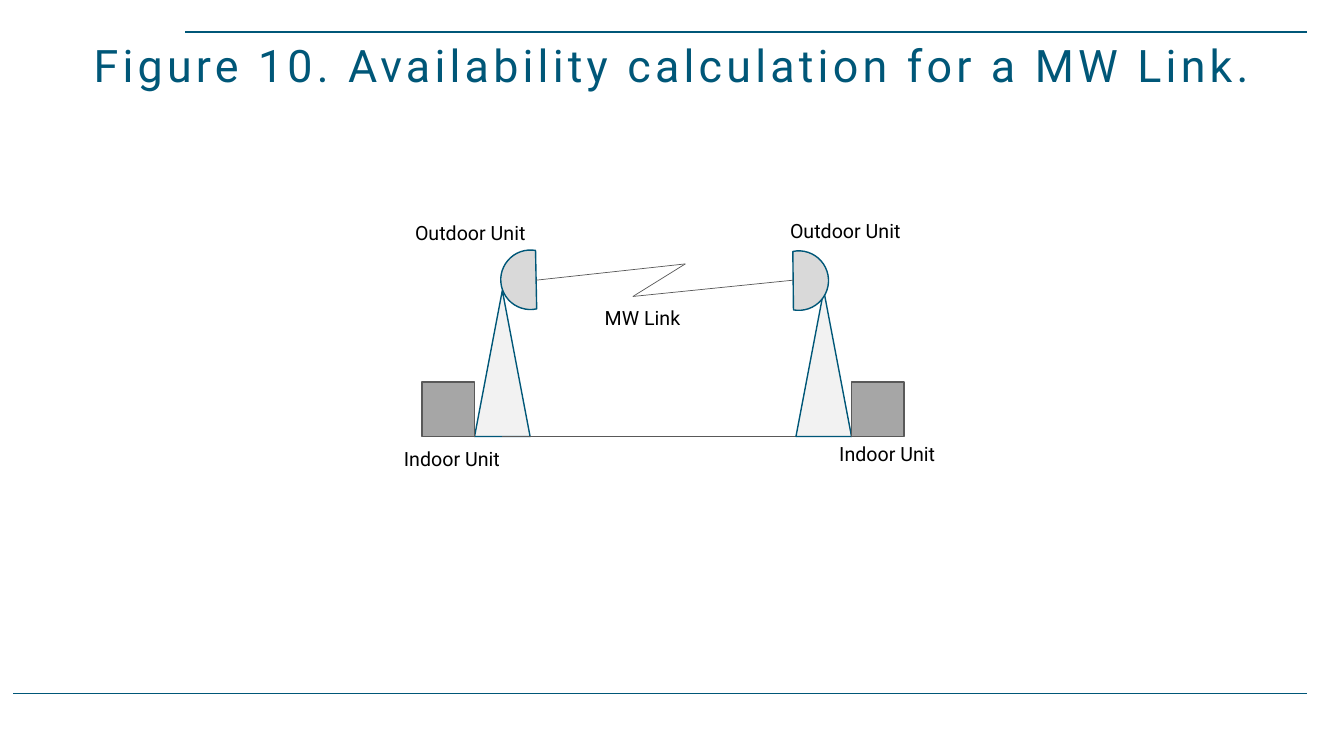
from lxml.etree import SubElement
from pptx import Presentation
from pptx.dml.color import RGBColor
from pptx.enum.shapes import MSO_CONNECTOR, MSO_SHAPE
from pptx.enum.text import MSO_ANCHOR, MSO_AUTO_SIZE, PP_ALIGN
from pptx.oxml.ns import qn
from pptx.util import Cm, Pt

FONT = "Roboto"
TEAL, GREY, BLACK = "005778", "595959", "000000"
TOWER_FILL, DISH_FILL, CABINET_FILL = "F2F2F2", "D9D9D9", "A6A6A6"


def color(hex_string):
    return RGBColor.from_string(hex_string)


def add_line(slide, start, end, line_color, weight):
    connector = slide.shapes.add_connector(
        MSO_CONNECTOR.STRAIGHT, *(Cm(value) for value in (*start, *end)))
    connector.line.color.rgb = color(line_color)
    connector.line.width = Pt(weight)
    SubElement(connector._element.spPr, qn("a:effectLst"))


def add_part(slide, kind, box, fill, line_color):
    shape = slide.shapes.add_shape(kind, *(Cm(value) for value in box))
    shape.shadow.inherit = False
    shape.fill.solid()
    shape.fill.fore_color.rgb = color(fill)
    shape.line.color.rgb = color(line_color)
    shape.line.width = Pt(1)
    return shape


def format_run(run, size, text_color):
    run.font.name = FONT
    run.font.size = Pt(size)
    run.font.color.rgb = color(text_color)


def add_label(slide, text, left, top, width):
    shape = slide.shapes.add_textbox(Cm(left), Cm(top), Cm(width), Cm(0.86))
    frame = shape.text_frame
    frame.word_wrap = False
    frame.auto_size = MSO_AUTO_SIZE.SHAPE_TO_FIT_TEXT
    run = frame.paragraphs[0].add_run()
    run.text = text
    format_run(run, 14, BLACK)


def add_title(slide, text, left, top, width, height):
    title = slide.shapes.title
    title.left, title.top, title.width, title.height = (
        Cm(value) for value in (left, top, width, height))
    frame = title.text_frame
    frame.word_wrap = True
    frame.auto_size = MSO_AUTO_SIZE.NONE
    frame.vertical_anchor = MSO_ANCHOR.BOTTOM
    paragraph = frame.paragraphs[0]
    paragraph.alignment = PP_ALIGN.CENTER
    paragraph.line_spacing = 0.8
    run = paragraph.add_run()
    run.text = text
    format_run(run, 32, TEAL)
    run.font._element.set("spc", "300")


def add_station(slide, left, top, width, height, mirrored, dish, outdoor, indoor):
    """Dish and label positions are offsets from the station's top left corner."""
    bottom = top + height
    tower_width, tower_height = 1.4, 3.68
    cabinet_width, cabinet_height = 1.32, 1.37
    tower_left = left if mirrored else left + width - tower_width
    cabinet_left = left + width - cabinet_width if mirrored else left

    # Tower, dish and cabinet
    add_part(slide, MSO_SHAPE.ISOSCELES_TRIANGLE,
             (tower_left, bottom - tower_height, tower_width, tower_height),
             TOWER_FILL, TEAL)
    antenna = add_part(slide, MSO_SHAPE.CHORD,
                       (left + dish[0], top + dish[1], 1.5, 1.5), DISH_FILL, TEAL)
    antenna.adjustments[0] = 27
    antenna.adjustments[1] = 148.04
    antenna.rotation = 213.5 if mirrored else 33
    add_part(slide, MSO_SHAPE.RECTANGLE,
             (cabinet_left, bottom - cabinet_height, cabinet_width, cabinet_height),
             CABINET_FILL, GREY)

    # Unit labels
    add_label(slide, "Outdoor Unit", left + outdoor[0], top + outdoor[1], 3.43)
    add_label(slide, "Indoor Unit", left + indoor[0], top + indoor[1], 3.02)


def add_radio_link(slide, left, top, width, height):
    middle = top + height / 2
    bottom = top + height
    upper_bend = (left + 3.76, top)
    lower_bend = (left + 2.44, bottom)
    add_line(slide, (left, middle), upper_bend, GREY, 0.5)
    add_line(slide, lower_bend, (left + width, middle), GREY, 0.5)
    add_line(slide, lower_bend, upper_bend, GREY, 0.5)
    add_label(slide, "MW Link", left + 1.48, bottom + 0.12, 2.46)


def main():
    presentation = Presentation()
    presentation.slide_width = Cm(33.87)
    presentation.slide_height = Cm(19.05)
    slide = presentation.slides.add_slide(presentation.slide_layouts[5])

    # Frame rules and title
    add_line(slide, (4.67, 0.81), (32.94, 0.81), TEAL, 1)
    add_line(slide, (0.33, 17.48), (32.94, 17.48), TEAL, 1)
    add_title(slide, "Figure 10. Availability calculation for a MW Link.",
              0, 0.91, 33.87, 1.52)

    # Two stations joined by the ground line and the radio link
    add_station(slide, 10.64, 6.3, 2.72, 4.7, False,
                dish=(1.98, 0), outdoor=(-0.43, -0.86), indoor=(-0.71, 4.83))
    add_line(slide, (12.66, 11), (20.76, 11), GREY, 0.5)
    add_station(slide, 20.06, 6.3, 2.72, 4.7, True,
                dish=(-0.68, 0.02), outdoor=(-0.4, -0.92), indoor=(0.84, 4.7))
    add_radio_link(slide, 13.51, 6.65, 6.48, 0.82)

    presentation.save("out.pptx")


if __name__ == "__main__":
    main()
